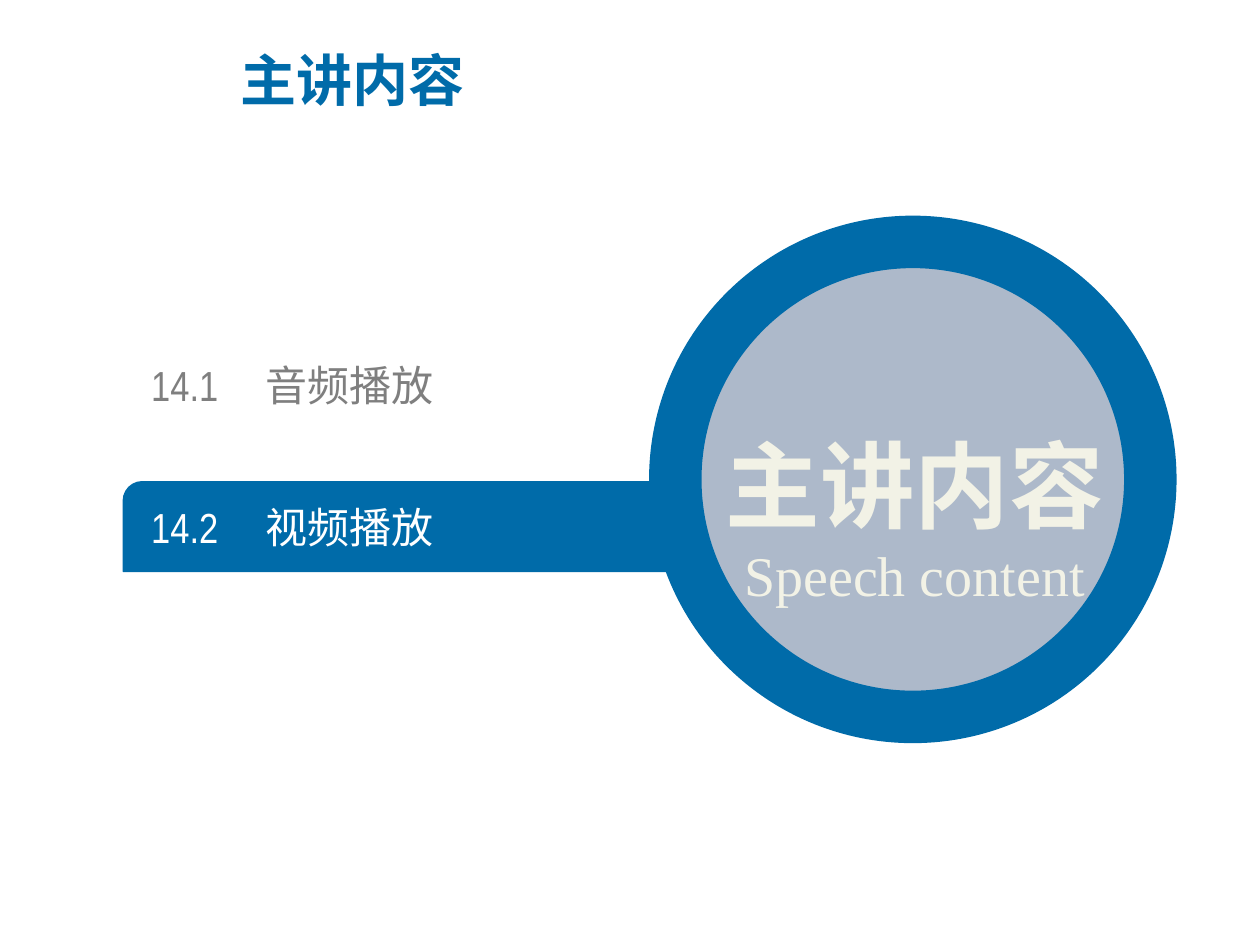
from dataclasses import dataclass

from lxml import etree
from pptx import Presentation
from pptx.dml.color import RGBColor
from pptx.enum.shapes import MSO_SHAPE
from pptx.enum.text import MSO_ANCHOR, MSO_AUTO_SIZE, PP_ALIGN
from pptx.oxml.ns import qn
from pptx.util import Emu, Inches, Pt

LEFT, CENTER = PP_ALIGN.LEFT, PP_ALIGN.CENTER
MIDDLE = MSO_ANCHOR.MIDDLE

TITLE = "主讲内容"
SUBTITLE = "Speech content"
SECTIONS = [("14.1", "音频播放"), ("14.2", "视频播放")]
CURRENT = 1


@dataclass(frozen=True)
class Theme:
    blue: str = "006BA9"
    disc: str = "ADB9CA"
    cream: str = "F2F2E6"
    gray: str = "7F7F7F"
    white: str = "FFFFFF"
    cjk: str = "Noto Sans CJK SC"
    narrow: str = "Arial Narrow"
    serif: str = "Times New Roman"
    section_size: int = 24
    title_size: int = 32
    hero_size: int = 54


THEME = Theme()

# Agenda rows, in inches
ROW_LEFT, ROW_WIDTH, ROW_HEIGHT = 1.2, 4.19, 0.4
FIRST_ROW_CENTER, ROW_PITCH = 3.05, 1.13
NAME_TAB = 0.91
BAR_LEFT, BAR_WIDTH, BAR_HEIGHT = 0.98, 5.35, 0.71
DISC_LEFT, DISC_TOP, DISC_SIZE = 5.36, 1.92, 3.77


def inches(*lengths):
    return [Inches(length) for length in lengths]


def style(paragraph, font_name, size, color, bold=False):
    for run in paragraph.runs:
        font = run.font
        font.name, font.size, font.bold = font_name, Pt(size), bold
        font.color.rgb = RGBColor.from_string(color)
        east_asian = etree.SubElement(font._element, qn("a:ea"))
        east_asian.set("typeface", THEME.cjk)


def add_filled(slide, kind, box, fill, line_width):
    shape = slide.shapes.add_shape(kind, *inches(*box))
    shape.shadow.inherit = False
    shape.fill.solid()
    shape.fill.fore_color.rgb = RGBColor.from_string(fill)
    shape.line.color.rgb = RGBColor.from_string(THEME.blue)
    shape.line.width = Pt(line_width)
    return shape


def add_text_frame(slide, box):
    frame = slide.shapes.add_textbox(*inches(*box)).text_frame
    frame.word_wrap = True
    frame.vertical_anchor = MIDDLE
    return frame


def set_title(slide):
    title = slide.shapes.title
    title.left, title.top, title.width, title.height = inches(1.81, 0.21, 5.63, 0.84)
    frame = title.text_frame
    frame.text = TITLE
    frame.vertical_anchor = MIDDLE
    frame.auto_size = MSO_AUTO_SIZE.NONE
    frame.paragraphs[0].alignment = LEFT
    style(frame.paragraphs[0], THEME.cjk, THEME.title_size, THEME.blue, bold=True)


def add_section(slide, index, number, name):
    center = FIRST_ROW_CENTER + index * ROW_PITCH
    if index == CURRENT:
        bar = add_filled(slide, MSO_SHAPE.ROUND_2_DIAG_RECTANGLE,
                         (BAR_LEFT, center - BAR_HEIGHT / 2, BAR_WIDTH, BAR_HEIGHT),
                         THEME.blue, 1)
        bar.adjustments[0] = 0.21
    frame = add_text_frame(
        slide, (ROW_LEFT, center - ROW_HEIGHT / 2, ROW_WIDTH, ROW_HEIGHT))
    frame.margin_left = frame.margin_right = Emu(0)
    frame.margin_top = frame.margin_bottom = Emu(0)
    frame.text = f"{number}\t{name}"
    paragraph = frame.paragraphs[0]
    tabs = etree.SubElement(paragraph._p.get_or_add_pPr(), qn("a:tabLst"))
    etree.SubElement(tabs, qn("a:tab"), pos=str(Inches(NAME_TAB)), algn="l")
    color = THEME.white if index == CURRENT else THEME.gray
    style(paragraph, THEME.narrow, THEME.section_size, color)


def add_disc(slide):
    add_filled(slide, MSO_SHAPE.OVAL, (DISC_LEFT, DISC_TOP, DISC_SIZE, DISC_SIZE),
               THEME.disc, 30)
    frame = add_text_frame(slide, (5.31, 2.88, 3.9, 2))
    frame.text = f"{TITLE}\n{SUBTITLE}"
    heading, subtitle = frame.paragraphs
    heading.alignment = subtitle.alignment = CENTER
    heading.line_spacing = 1.5
    style(heading, THEME.cjk, THEME.hero_size, THEME.cream, bold=True)
    style(subtitle, THEME.serif, THEME.title_size, THEME.cream)


def main():
    deck = Presentation()
    deck.slide_width, deck.slide_height = inches(10, 7.5)
    slide = deck.slides.add_slide(deck.slide_layouts.get_by_name("Title Only"))
    set_title(slide)
    for index, (number, name) in enumerate(SECTIONS):
        add_section(slide, index, number, name)
    add_disc(slide)
    deck.save("out.pptx")


if __name__ == "__main__":
    main()
